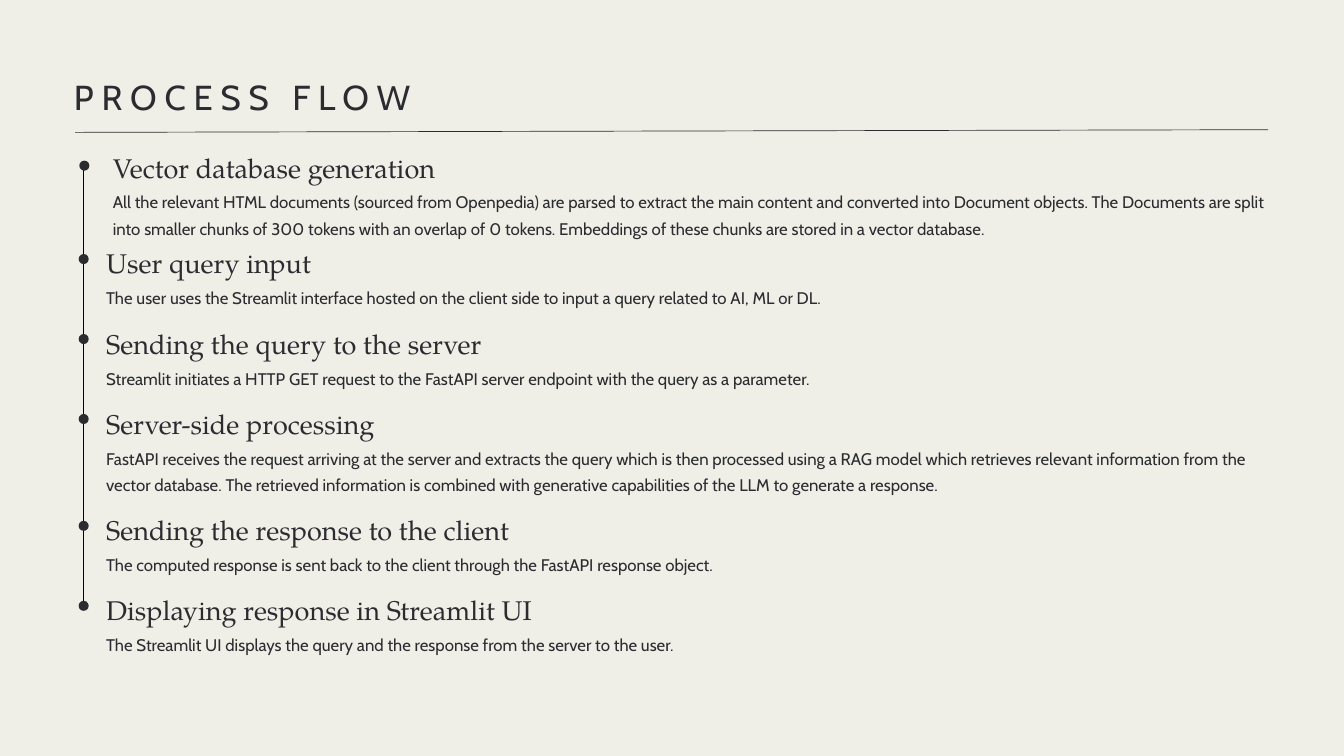
from pptx import Presentation
from pptx import util as u
from pptx.dml.color import RGBColor
from pptx.enum import shapes, text
from pptx.oxml.ns import qn
from lxml import etree

COLORS = {"background": "EFEEE7", "ink": "2B2C30", "rail": "000000"}
SANS, SERIF = "Cabin", "TeX Gyre Pagella"

# Left edge, heading top, dot left, dot top, body width, heading, body
STEPS = [
    (1.68, 2.25, 1.18, 2.39, 17.17, "Vector database generation",
     "All the relevant HTML documents (sourced from Openpedia) are parsed to extract "
     "the main content and converted into Document objects. The Documents are split "
     "into smaller chunks of 300 tokens with an overlap of 0 tokens. Embeddings of "
     "these chunks are stored in a vector database."),
    (1.58, 3.67, 1.17, 3.78, 13.76, "User query input",
     "The user uses the Streamlit interface hosted on the client side to input a "
     "query related to AI, ML or DL."),
    (1.58, 4.87, 1.17, 4.97, 13.76, "Sending the query to the server",
     "Streamlit initiates a HTTP GET request to the FastAPI server endpoint with the "
     "query as a parameter."),
    (1.58, 6.06, 1.17, 6.16, 17.17, "Server-side processing",
     "FastAPI receives the request arriving at the server and extracts the query which "
     "is then processed using a RAG model which retrieves relevant information from the "
     "vector database. The retrieved information is combined with generative "
     "capabilities of the LLM to generate a response."),
    (1.58, 7.64, 1.17, 7.75, 13.76, "Sending the response to the client",
     "The computed response is sent back to the client through the FastAPI response "
     "object."),
    (1.58, 8.83, 1.17, 8.94, 13.76, "Displaying response in Streamlit UI",
     "The Streamlit UI displays the query and the response from the server to the user."),
]


def color(name):
    return RGBColor.from_string(COLORS[name])


def write(frame, content, *, size, font, leading, spacing=0):
    """Put one formatted paragraph in a text frame."""
    paragraph = frame.paragraphs[0]
    paragraph.line_spacing = u.Pt(leading)
    run = paragraph.add_run()
    run.text = content
    run.font.size = u.Pt(size)
    run.font.name = font
    run.font.color.rgb = color("ink")
    if spacing:
        run._r.get_or_add_rPr().set("spc", str(round(spacing * 100)))


class Deck:
    def __init__(self, width, height):
        self.presentation = Presentation()
        self.presentation.slide_width = u.Inches(width)
        self.presentation.slide_height = u.Inches(height)
        self.slide = None

    def add_slide(self):
        self.slide = self.presentation.slides.add_slide(self.presentation.slide_layouts[6])
        fill = self.slide.background.fill
        fill.solid()
        fill.fore_color.rgb = color("background")

    def text(self, left, top, width, height, content, **style):
        box = self.slide.shapes.add_textbox(*map(u.Inches, (left, top, width, height)))
        frame = box.text_frame
        frame.word_wrap = True
        frame.auto_size = text.MSO_AUTO_SIZE.SHAPE_TO_FIT_TEXT
        frame.margin_left = frame.margin_right = 0
        frame.margin_top = frame.margin_bottom = 0
        write(frame, content, **style)

    def line(self, x1, y1, x2, y2, name):
        connector = self.slide.shapes.add_connector(
            shapes.MSO_CONNECTOR.STRAIGHT, *map(u.Inches, (x1, y1, x2, y2)))
        connector.line.color.rgb = color(name)
        connector.line.width = u.Pt(0.75)
        etree.SubElement(connector._element.spPr, qn("a:effectLst"))

    def dot(self, left, top, size=0.15):
        shape = self.slide.shapes.add_shape(
            shapes.MSO_SHAPE.OVAL, *map(u.Inches, (left, top, size, size)))
        shape.shadow.inherit = False
        shape.fill.solid()
        shape.fill.fore_color.rgb = color("ink")
        shape.line.fill.background()

    def step(self, left, top, dot_left, dot_top, width, heading, body):
        lines = 2 if width > 17 else 1
        self.text(left, top, 12.09, 0.46, heading, size=29, font=SERIF, leading=34.8)
        self.dot(dot_left, dot_top)
        self.text(left, top + 0.51, width, 0.37 + 0.4 * (lines - 1), body,
                  size=18, font=SANS, leading=28.8)


def main():
    deck = Deck(20, 11.25)
    deck.add_slide()

    # Title and rule
    deck.text(1.1, 1.03, 17.75, 0.67, "PROCESS FLOW",
              size=37.1, font=SANS, leading=52, spacing=8.4)
    deck.line(1.12, 1.97, 18.87, 1.93, "ink")

    # Timeline
    deck.line(1.24, 2.48, 1.24, 9.08, "rail")
    for step in STEPS:
        deck.step(*step)

    deck.presentation.save("out.pptx")


if __name__ == "__main__":
    main()
